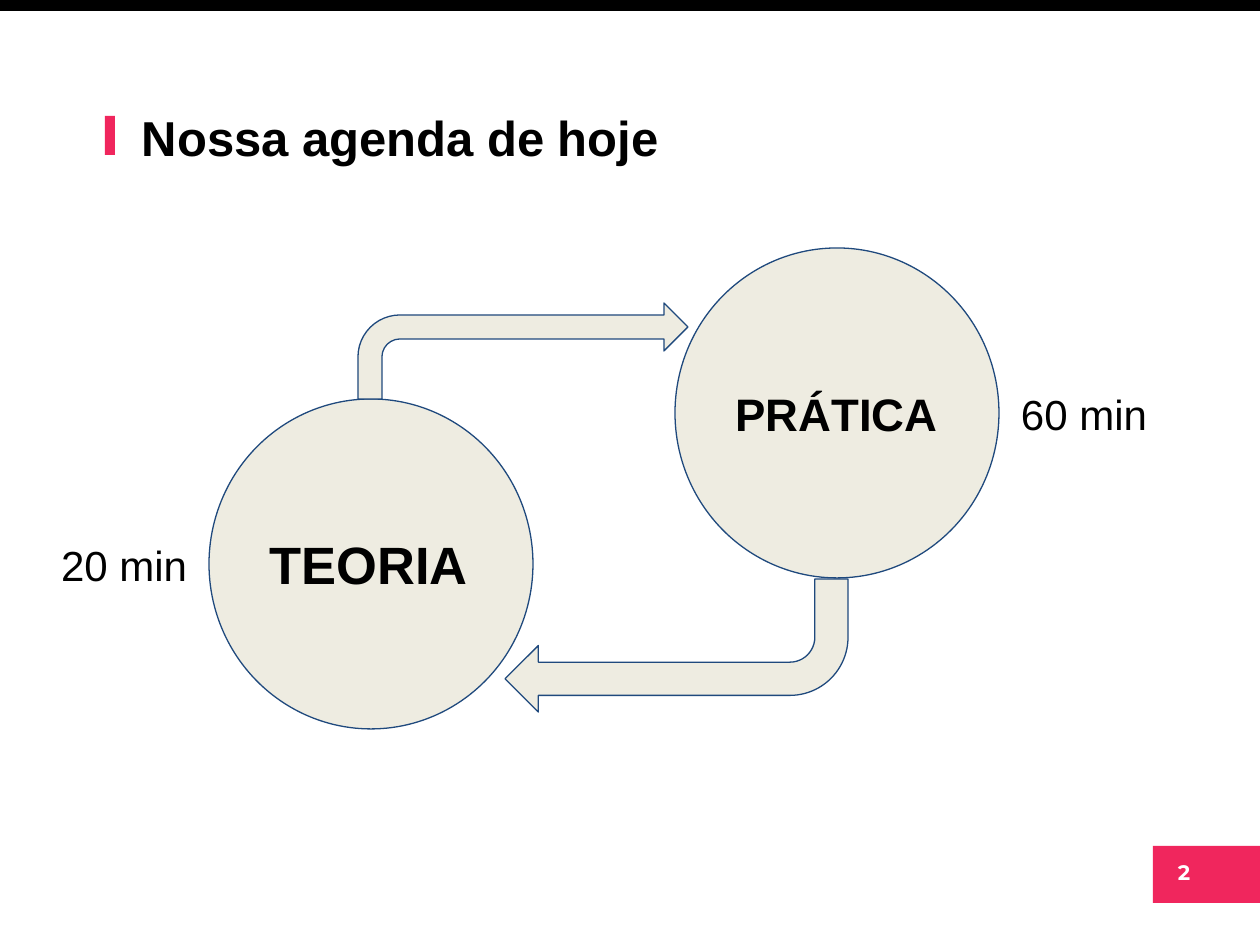
from dataclasses import dataclass

from pptx import Presentation
from pptx.dml.color import RGBColor
from pptx.enum.shapes import MSO_SHAPE
from pptx.enum.text import MSO_ANCHOR, MSO_AUTO_SIZE, PP_ALIGN
from pptx.shapes.autoshape import Shape
from pptx.slide import Slide
from pptx.util import Pt

RECTANGLE, CIRCLE, ARROW = MSO_SHAPE.RECTANGLE, MSO_SHAPE.OVAL, MSO_SHAPE.BENT_ARROW
TOP, MIDDLE = MSO_ANCHOR.TOP, MSO_ANCHOR.MIDDLE
LEFT, CENTER = PP_ALIGN.LEFT, PP_ALIGN.CENTER
NO_AUTOFIT = MSO_AUTO_SIZE.NONE
EMU_PER_PX = 9144000 / 1260


@dataclass(frozen=True)
class Theme:
    black: str = "000000"
    white: str = "FFFFFF"
    accent: str = "F0265D"
    sand: str = "EEECE1"
    outline: str = "1F497D"
    outline_pt: float = 0.75
    body_font: str = "Arial"
    number_font: str = "Montserrat"
    title_pt: int = 28
    theory_pt: int = 30
    practice_pt: int = 26
    duration_pt: int = 24
    number_pt: int = 12
    duration_space_pt: float = 4.8


THEME = Theme()


@dataclass(frozen=True)
class Box:
    left: int
    top: int
    width: int
    height: int


@dataclass(frozen=True)
class Style:
    size: int
    bold: bool = True
    color: str = THEME.black
    font: str = THEME.body_font
    align: PP_ALIGN = LEFT
    anchor: MSO_ANCHOR = TOP
    inset_y: int = 13
    space_before: float = 0


@dataclass(frozen=True)
class Stage:
    name: str
    size: int
    circle: Box
    duration: str
    duration_box: Box


@dataclass(frozen=True)
class Turn:
    box: Box
    rotation: int


BARS = [
    (Box(0, 0, 1260, 11), THEME.black),
    (Box(1153, 846, 108, 57), THEME.accent),
    (Box(105, 116, 10, 39), THEME.accent),
]
STAGES = [
    Stage("TEORIA", THEME.theory_pt, Box(209, 399, 324, 330),
          "20 min", Box(48, 527, 170, 77)),
    Stage("PRÁTICA", THEME.practice_pt, Box(675, 248, 324, 330),
          "60 min", Box(1008, 376, 170, 77)),
]
TURNS = [
    Turn(Box(358, 303, 330, 96), 0),
    Turn(Box(505, 579, 343, 133), 180),
]


def px(length: int) -> int:
    return round(length * EMU_PER_PX)


def emu(box: Box) -> tuple[int, int, int, int]:
    return px(box.left), px(box.top), px(box.width), px(box.height)


def apply(target: object, values: dict[str, object]) -> None:
    for attribute, value in values.items():
        setattr(target, attribute, value)


def write(holder: Shape, wording: str, style: Style) -> None:
    frame = holder.text_frame
    apply(frame, {
        "word_wrap": True, "auto_size": NO_AUTOFIT, "vertical_anchor": style.anchor,
        "margin_left": px(13), "margin_right": px(13),
        "margin_top": px(style.inset_y), "margin_bottom": px(style.inset_y),
    })
    paragraph = frame.paragraphs[0]
    apply(paragraph, {"alignment": style.align, "space_before": Pt(style.space_before)})
    run = paragraph.add_run()
    run.text = wording
    apply(run.font, {"name": style.font, "size": Pt(style.size), "bold": style.bold})
    run.font.color.rgb = RGBColor.from_string(style.color)


def add_text(slide: Slide, box: Box, wording: str, style: Style) -> None:
    write(slide.shapes.add_textbox(*emu(box)), wording, style)


def add_figure(slide: Slide, kind: MSO_SHAPE, box: Box, fill: str,
               outlined: bool = True) -> Shape:
    figure = slide.shapes.add_shape(kind, *emu(box))
    figure.shadow.inherit = False
    figure.fill.solid()
    figure.fill.fore_color.rgb = RGBColor.from_string(fill)
    if outlined:
        figure.line.color.rgb = RGBColor.from_string(THEME.outline)
        figure.line.width = Pt(THEME.outline_pt)
    else:
        figure.line.fill.background()
    return figure


def add_title(slide: Slide, box: Box, wording: str) -> None:
    title = slide.shapes.title
    apply(title, dict(zip(("left", "top", "width", "height"), emu(box))))
    write(title, wording, Style(THEME.title_pt, anchor=MIDDLE, inset_y=6))


def add_stage(slide: Slide, stage: Stage) -> None:
    circle = add_figure(slide, CIRCLE, stage.circle, THEME.sand)
    write(circle, stage.name, Style(stage.size, anchor=MIDDLE))
    add_text(slide, stage.duration_box, stage.duration,
             Style(THEME.duration_pt, bold=False, space_before=THEME.duration_space_pt))


def add_turn(slide: Slide, turn: Turn) -> None:
    add_figure(slide, ARROW, turn.box, THEME.sand).rotation = turn.rotation


def main() -> None:
    deck = Presentation()
    apply(deck, {"slide_width": px(1260), "slide_height": px(945)})
    slide = deck.slides.add_slide(deck.slide_layouts[5])
    for box, color in BARS:
        add_figure(slide, RECTANGLE, box, color, outlined=False)
    add_text(slide, Box(1154, 854, 60, 38), "2",
             Style(THEME.number_pt, color=THEME.white, font=THEME.number_font,
                   align=CENTER, inset_y=6))
    add_title(slide, Box(129, 96, 1026, 81), "Nossa agenda de hoje")
    for stage in STAGES:
        add_stage(slide, stage)
    for turn in TURNS:
        add_turn(slide, turn)
    deck.save("out.pptx")


if __name__ == "__main__":
    main()
